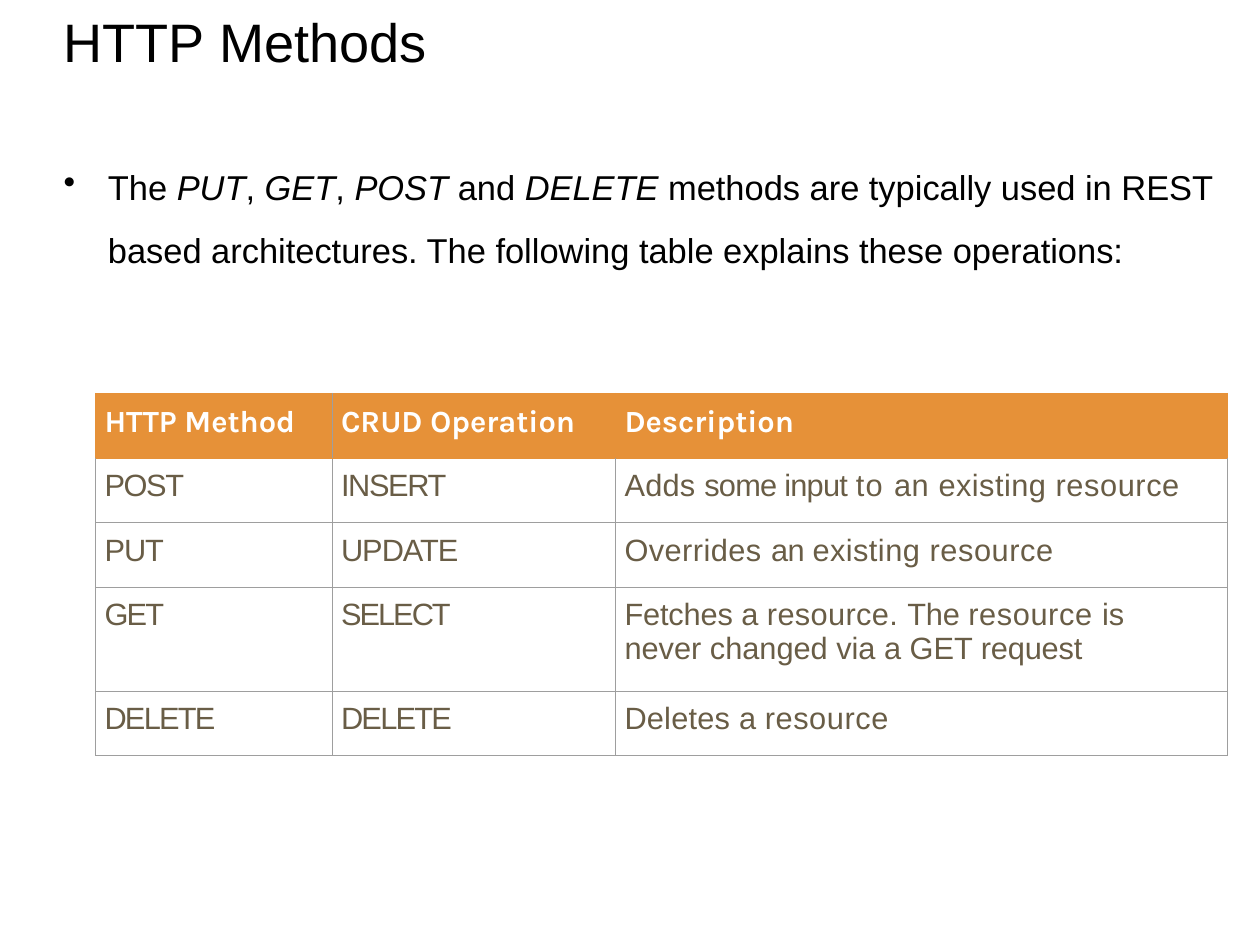
from dataclasses import dataclass

from lxml.etree import SubElement
from pptx import Presentation
from pptx.dml.color import RGBColor
from pptx.enum.text import MSO_ANCHOR, MSO_AUTO_SIZE, PP_ALIGN
from pptx.oxml.ns import qn
from pptx.util import Pt

# Content
TITLE = "HTTP Methods"
INTRO = [  # (text, italic)
    ("The ", False), ("PUT", True), (", ", False), ("GET", True), (", ", False),
    ("POST", True), (" and ", False), ("DELETE", True),
    (" methods are typically used in REST based architectures. "
     "The following table explains these operations:", False),
]
HEADER = ["HTTP Method", "CRUD Operation", "Description"]
OPERATIONS = [  # each cell: (text, letter spacing in points) pieces
    [[("POST", -1.1)], [("INSERT", -1.1)],
     [("Adds ", 0.2), ("some input ", -0.6), ("to ", 1.1), ("an ", 0.5),
      ("existing ", 0.4), ("resource", 0.5)]],
    [[("PUT", -0.8)], [("UPDATE", -0.8)],
     [("Overrides ", 0.4), ("an ", -0.5), ("existing ", 0.4), ("resource", 0.5)]],
    [[("GET", -1.4)], [("SELECT", -1.6)],
     [("Fetches ", -0.1), ("a ", 0), ("resource. ", 0.3), ("The ", -0.1),
      ("resource ", 0.5), ("is\v", 0.1), ("never changed via a GET ", 0),
      ("request", -0.1)]],
    [[("DELETE", -1.4)], [("DELETE", -1.4)],
     [("Deletes ", 0.2), ("a ", 0), ("resource", 0.5)]],
]


@dataclass(frozen=True)
class Theme:
    font: str = "Arial"
    header_font: str = "Karla"
    title_size: int = 44
    intro_size: int = 28
    table_size: int = 25
    ink: str = "000000"
    table_ink: str = "695D46"
    header_ink: str = "FFFFFF"
    header_fill: str = "E69138"
    rule: str = "9E9E9E"


THEME = Theme()

# Layout, in points
SLIDE_SIZE = (1024, 768)
TITLE_BOX = (44.64, 0, 933.84, 110.16)
INTRO_BOX = (44.64, 110.16, 952.56, 576)
TABLE_CORNER = (77.76, 319.68)
COLUMN_WIDTHS = (192.24, 230.4, 497.52)
ROW_HEIGHT, TALL_ROW_HEIGHT = 52.56, 84.24
BOX_INSET, CELL_INDENT, CELL_TOP = 7.2, 7.2, 8.64
BULLET_INDENT = 36
RULE_WIDTH = 0.75


def style_font(paragraph, name, size, color, bold=False):
    font = paragraph.font
    font.name, font.size, font.bold = name, Pt(size), bold
    font.color.rgb = RGBColor.from_string(color)


def prepare_frame(frame):
    frame.word_wrap = True
    frame.auto_size = MSO_AUTO_SIZE.NONE
    frame.vertical_anchor = MSO_ANCHOR.TOP
    frame.margin_left = frame.margin_right = Pt(BOX_INSET)
    frame.margin_top = frame.margin_bottom = Pt(BOX_INSET)


def add_title(slide):
    title = slide.shapes.title
    title.left, title.top, title.width, title.height = map(Pt, TITLE_BOX)
    prepare_frame(title.text_frame)
    title.text_frame.text = TITLE
    heading = title.text_frame.paragraphs[0]
    heading.alignment = PP_ALIGN.LEFT
    style_font(heading, THEME.font, THEME.title_size, THEME.ink)


def add_intro(slide):
    frame = slide.shapes.add_textbox(*map(Pt, INTRO_BOX)).text_frame
    prepare_frame(frame)
    intro = frame.paragraphs[0]
    intro.line_spacing = 1.52
    style_font(intro, THEME.font, THEME.intro_size, THEME.ink)
    for text, italic in INTRO:
        run = intro.add_run()
        run.text, run.font.italic = text, italic
    # Hanging bullet, placed ahead of the font defaults
    properties = intro._p.get_or_add_pPr()
    properties.set("marL", str(Pt(BULLET_INDENT)))
    properties.set("indent", str(-Pt(BULLET_INDENT)))
    bullet = SubElement(properties, qn("a:buChar"), char="•")
    properties.find(qn("a:defRPr")).addprevious(bullet)


def draw_borders(cell, colors):
    """Colors run left, right, top, bottom."""
    properties = cell._tc.get_or_add_tcPr()
    for side, color in zip("LRTB", colors):
        line = SubElement(properties, qn(f"a:ln{side}"), w=str(Pt(RULE_WIDTH)))
        fill = SubElement(line, qn("a:solidFill"))
        SubElement(fill, qn("a:srgbClr"), val=color)


def fill_cell(cell, pieces, is_header):
    cell.margin_left, cell.margin_top = Pt(CELL_INDENT), Pt(CELL_TOP)
    cell.margin_right = cell.margin_bottom = 0
    cell.vertical_anchor = MSO_ANCHOR.TOP
    if is_header:
        cell.fill.solid()
        cell.fill.fore_color.rgb = RGBColor.from_string(THEME.header_fill)
    else:
        cell.fill.background()
    entry = cell.text_frame.paragraphs[0]
    style_font(entry, THEME.header_font if is_header else THEME.font,
               THEME.table_size,
               THEME.header_ink if is_header else THEME.table_ink, is_header)
    for text, spacing in pieces:
        broken = text.endswith("\v")
        run = entry.add_run()
        run.text = text.rstrip("\v")
        run.font._element.set("spc", str(round(spacing * 100)))
        if broken:
            entry.add_line_break()


def add_operations_table(slide):
    rows = [[[(label, 0)] for label in HEADER]] + OPERATIONS
    heights = [TALL_ROW_HEIGHT if any("\v" in text for cell in row for text, _ in cell)
               else ROW_HEIGHT for row in rows]
    table = slide.shapes.add_table(
        len(rows), len(HEADER), *map(Pt, TABLE_CORNER),
        Pt(sum(COLUMN_WIDTHS)), Pt(sum(heights))).table
    table.first_row = table.horz_banding = False
    for column, width in zip(table.columns, COLUMN_WIDTHS):
        column.width = Pt(width)
    for r, (row, height) in enumerate(zip(rows, heights)):
        table.rows[r].height = Pt(height)
        for c, pieces in enumerate(row):
            cell = table.cell(r, c)
            # Header edges blend into its fill, except after the first column
            edge = THEME.header_fill if r == 0 else THEME.rule
            left = THEME.rule if c == 1 else edge
            right = THEME.rule if c == 0 else edge
            top = THEME.header_fill if r <= 1 else THEME.rule
            draw_borders(cell, (left, right, top, edge))
            fill_cell(cell, pieces, r == 0)


def main():
    deck = Presentation()
    deck.slide_width, deck.slide_height = map(Pt, SLIDE_SIZE)
    slide = deck.slides.add_slide(deck.slide_layouts[5])
    add_title(slide)
    add_intro(slide)
    add_operations_table(slide)
    deck.save("out.pptx")


if __name__ == "__main__":
    main()
